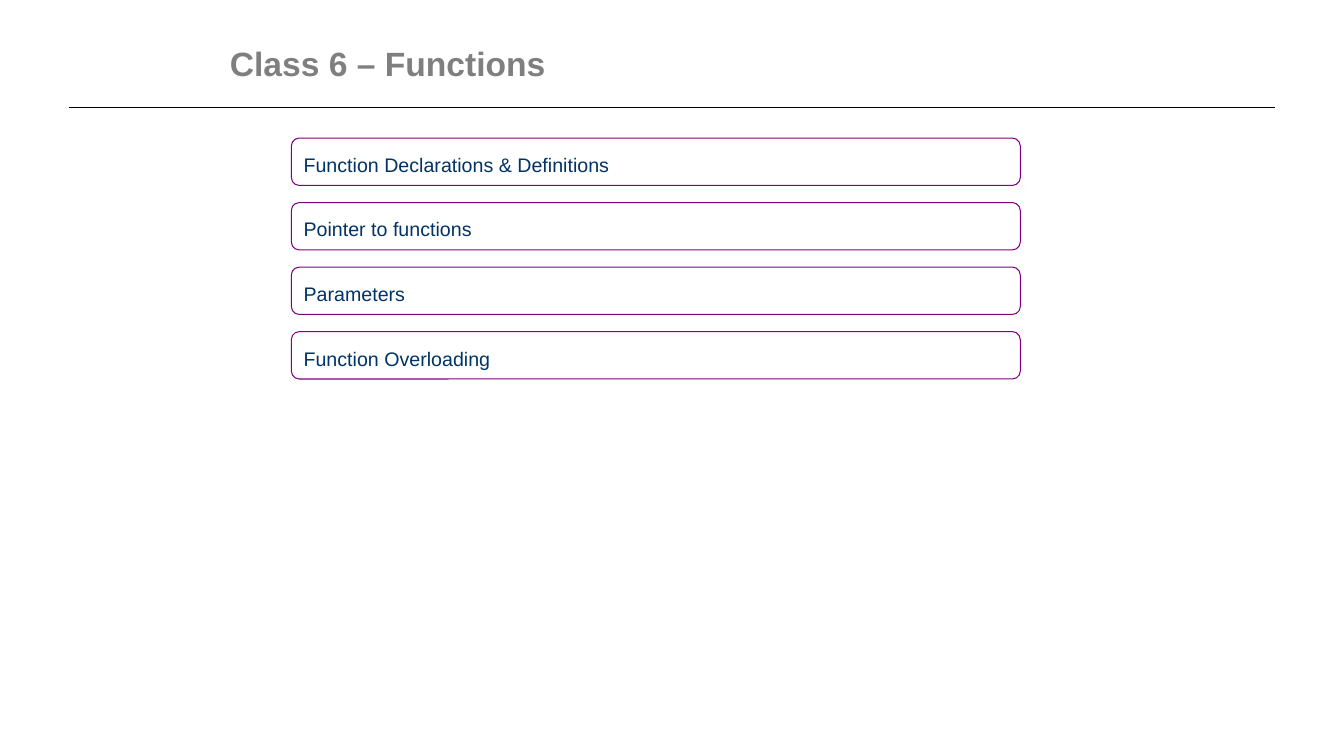
from dataclasses import dataclass

from lxml.etree import SubElement
from pptx import Presentation
from pptx.dml.color import RGBColor
from pptx.enum.shapes import MSO_CONNECTOR, MSO_SHAPE
from pptx.enum.text import MSO_ANCHOR, PP_ALIGN
from pptx.oxml.ns import qn
from pptx.shapes.autoshape import Shape
from pptx.slide import Slide
from pptx.util import Inches, Pt

COLORS = {"title": "7F7F7F", "rule": "000000", "border": "800080", "topic": "003366"}
FONT = "Arial"
TOPIC_LEFT, TOPIC_TOP = 2.89, 1.37
TOPIC_WIDTH, TOPIC_HEIGHT = 7.23, 0.47
TOPIC_PITCH = 0.64


@dataclass(frozen=True)
class Topic:
    text: str
    row: int

    @property
    def top(self) -> float:
        return TOPIC_TOP + self.row * TOPIC_PITCH


TOPICS = [
    Topic(text, row)
    for row, text in enumerate([
        "Function Declarations & Definitions",
        "Pointer to functions",
        "Parameters",
        "Function Overloading",
    ])
]


def color(name: str) -> RGBColor:
    return RGBColor.from_string(COLORS[name])


def write_text(box: Shape, text: str, size: float, color_name: str,
               bold: bool = False, line_spacing: float = 1.0) -> None:
    """Put one left-aligned, vertically centred line in the box."""
    frame = box.text_frame
    frame.word_wrap = True
    frame.vertical_anchor = MSO_ANCHOR.MIDDLE
    para = frame.paragraphs[0]
    para.alignment = PP_ALIGN.LEFT
    para.line_spacing = line_spacing
    span = para.add_run()
    span.text = text
    span.font.name = FONT
    span.font.size = Pt(size)
    span.font.bold = bold
    span.font.color.rgb = color(color_name)


def add_title(page: Slide, text: str) -> None:
    title = page.shapes.title
    title.left, title.top = Inches(2.18), Inches(0)
    title.width, title.height = Inches(9), Inches(1.25)
    write_text(title, text, 24, "title", bold=True)


def add_rule(page: Slide) -> None:
    rule = page.shapes.add_connector(
        MSO_CONNECTOR.STRAIGHT, Inches(0.68), Inches(1.07), Inches(12.65), Inches(1.07))
    rule.line.color.rgb = color("rule")
    rule.line.width = Pt(0.75)
    SubElement(rule.element.spPr, qn("a:effectLst"))


def add_topic(page: Slide, topic: Topic) -> None:
    box = page.shapes.add_shape(
        MSO_SHAPE.ROUNDED_RECTANGLE, Inches(TOPIC_LEFT), Inches(topic.top),
        Inches(TOPIC_WIDTH), Inches(TOPIC_HEIGHT))
    box.shadow.inherit = False
    box.fill.background()
    box.line.color.rgb = color("border")
    box.line.width = Pt(0.75)
    write_text(box, topic.text, 14, "topic", line_spacing=1.25)


def main() -> None:
    deck = Presentation()
    deck.slide_width, deck.slide_height = Inches(13.33), Inches(7.5)
    page = deck.slides.add_slide(deck.slide_layouts.get_by_name("Title Only"))
    add_rule(page)
    add_title(page, "Class 6 – Functions")
    for topic in TOPICS:
        add_topic(page, topic)
    deck.save("out.pptx")


if __name__ == "__main__":
    main()
